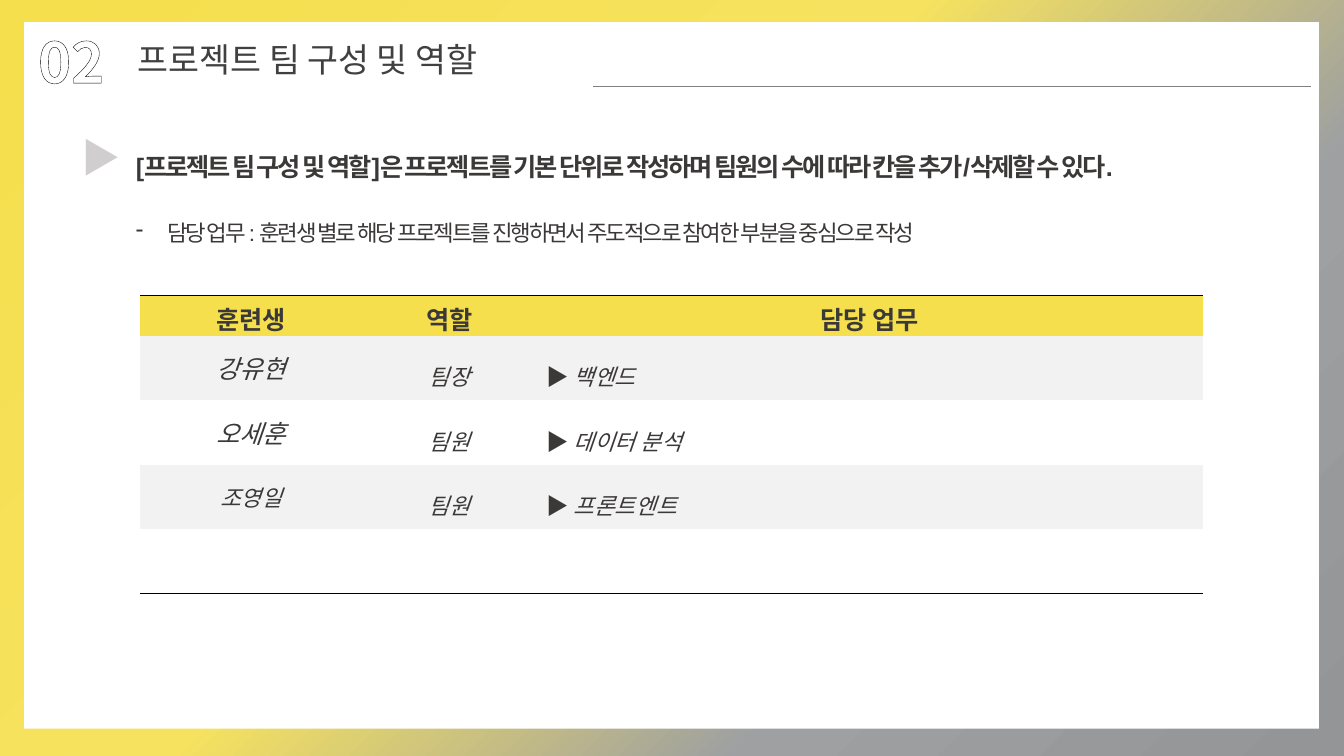
from lxml.etree import SubElement
from pptx import Presentation
from pptx.dml.color import RGBColor
from pptx.enum.dml import MSO_PATTERN
from pptx.enum.shapes import MSO_CONNECTOR, MSO_SHAPE
from pptx.enum.text import MSO_ANCHOR, MSO_AUTO_SIZE, PP_ALIGN
from pptx.oxml import parse_xml
from pptx.oxml.ns import nsdecls, qn
from pptx.util import Inches, Pt

NOTO, ARIAL, CALIBRI = "Noto Sans CJK KR", "Arial", "Calibri"
DARK, GRAY, YELLOW, BAND, WHITE = "3B3838", "939597", "F5DF4D", "F2F2F2", "FFFFFF"

# position %, colour, opacity %
BACKGROUND = [(0, YELLOW, 100), (44, "F6E25F", 70), (71, "9EA0A1", 70), (100, GRAY, 100)]
NUMBER = "02"
TITLE = "프로젝트 팀 구성 및 역할"
HEADLINE = "[프로젝트 팀 구성 및 역할]은 프로젝트를 기본 단위로 작성하며 팀원의 수에 따라 칸을 추가/삭제할 수 있다."
NOTE = "담당 업무 : 훈련생 별로 해당 프로젝트를 진행하면서 주도적으로 참여한 부분을 중심으로 작성"
HEADER = ["훈련생", "역할", "담당 업무"]
# name, name size, role, role font, duty
MEMBERS = [
    ("강유현", 18, "팀장", CALIBRI, "백엔드"),
    ("오세훈", 18, "팀원", CALIBRI, "데이터 분석"),
    ("조영일", 16, "팀원", NOTO, "프론트엔트"),
]
COLUMNS = [2.2, 1.73, 6.61]
ROWS = [0.39] + [0.64] * (len(MEMBERS) + 1)


def rgb(value):
    return RGBColor.from_string(value)


def add_run(p, text, size=18, font=CALIBRI, color=DARK, bold=False, italic=False,
            spacing=None, pattern=None, outline=None):
    r = p.add_run()
    r.text = text
    f = r.font
    f.size, f.name, f.bold, f.italic = Pt(size), font, bold, italic
    if pattern:
        f.fill.patterned()
        f.fill.pattern = MSO_PATTERN.DARK_UPWARD_DIAGONAL
        f.fill.fore_color.rgb, f.fill.back_color.rgb = map(rgb, pattern)
    else:
        f.color.rgb = rgb(color)
    rPr = r._r.get_or_add_rPr()
    SubElement(rPr, qn("a:ea")).set("typeface", NOTO)
    if spacing:
        rPr.set("spc", str(int(spacing * 100)))
    if outline:
        rPr.insert(0, line_xml("ln", *outline))
    return r


def line_xml(tag, color=None, width=0):
    fill = f'<a:solidFill><a:srgbClr val="{color}"/></a:solidFill>' if color else "<a:noFill/>"
    return parse_xml(f'<a:{tag} {nsdecls("a")} w="{int(Pt(width))}">{fill}</a:{tag}>')


def add_text(s, box, text, wrap=True, line_spacing=None, **style):
    tf = s.shapes.add_textbox(*map(Inches, box)).text_frame
    tf.word_wrap = wrap
    tf.auto_size = MSO_AUTO_SIZE.SHAPE_TO_FIT_TEXT
    p = tf.paragraphs[0]
    p.line_spacing = line_spacing
    add_run(p, text, **style)
    return p


def set_dash_bullet(p, indent):
    pPr = p._p.get_or_add_pPr()
    pPr.set("marL", str(Inches(indent)))
    pPr.set("indent", str(Inches(-indent)))
    SubElement(pPr, qn("a:buChar")).set("char", "-")


def set_background(s):
    s.background.fill.gradient()
    grad = s.background._cSld.find(".//" + qn("a:gradFill"))
    stops = "".join(
        f'<a:gs pos="{pos * 1000}"><a:srgbClr val="{color}">'
        f'<a:alpha val="{alpha * 1000}"/></a:srgbClr></a:gs>'
        for pos, color, alpha in BACKGROUND)
    grad.getparent().replace(grad, parse_xml(
        f'<a:gradFill {nsdecls("a")} rotWithShape="1"><a:gsLst>{stops}</a:gsLst>'
        '<a:lin ang="2700000" scaled="0"/></a:gradFill>'))


def style_cell(cell, fill, top=False, bottom=False):
    cell.vertical_anchor = MSO_ANCHOR.MIDDLE
    tcPr = cell._tc.get_or_add_tcPr()
    for tag, shown in (("lnL", False), ("lnR", False), ("lnT", top), ("lnB", bottom)):
        tcPr.append(line_xml(tag, "000000", 0.75) if shown else line_xml(tag))
    cell.fill.solid()
    cell.fill.fore_color.rgb = rgb(fill)


def add_team_table(s, left, top):
    table = s.shapes.add_table(len(ROWS), len(COLUMNS), Inches(left), Inches(top),
                               Inches(sum(COLUMNS)), Inches(sum(ROWS))).table
    table.first_row = table.horz_banding = False
    for column, width in zip(table.columns, COLUMNS):
        column.width = Inches(width)
    last = len(ROWS) - 1
    for i, height in enumerate(ROWS):
        table.rows[i].height = Inches(height)
        fill = YELLOW if i == 0 else BAND if i % 2 else WHITE
        for cell in table.rows[i].cells:
            style_cell(cell, fill, top=i == 0, bottom=i == last)

    for j, text in enumerate(HEADER):
        p = table.cell(0, j).text_frame.paragraphs[0]
        p.alignment = PP_ALIGN.CENTER
        add_run(p, text, bold=True)
    for i, (name, name_size, role, role_font, duty) in enumerate(MEMBERS, 1):
        who, part, work = (table.cell(i, j).text_frame.paragraphs[0] for j in range(3))
        who.alignment = part.alignment = PP_ALIGN.CENTER
        part.line_spacing = work.line_spacing = 1.5
        add_run(who, name, size=name_size, italic=True)
        add_run(part, role, size=16, font=role_font, italic=True)
        add_run(work, "▶ ", size=16, font=NOTO, bold=True, outline=(GRAY, 1))
        add_run(work, duty, size=16, italic=True)


def main():
    prs = Presentation()
    prs.slide_width, prs.slide_height = Inches(13.33), Inches(7.5)
    s = prs.slides.add_slide(prs.slide_layouts[6])
    set_background(s)

    panel = s.shapes.add_shape(MSO_SHAPE.RECTANGLE, *map(Inches, (0.24, 0.22, 12.84, 7.01)))
    panel.shadow.inherit = False
    panel.fill.solid()
    panel.fill.fore_color.rgb = rgb(WHITE)
    panel.line.fill.background()

    add_text(s, (0.28, 0.22, 1.27, 0.77), NUMBER, size=40, font=NOTO, bold=True,
             pattern=(DARK, WHITE), outline=("000000", 1.25))
    rule = s.shapes.add_connector(MSO_CONNECTOR.STRAIGHT, *map(Inches, (5.88, 0.86, 13, 0.86)))
    rule.line.color.rgb = rgb("808080")
    rule.line.width = Pt(1)
    SubElement(rule._element.spPr, qn("a:effectLst"))
    add_text(s, (1.27, 0.34, 4.24, 0.5), TITLE, wrap=False, size=24, font=NOTO, color="404040")

    add_text(s, (0.71, 1.27, 0.55, 0.57), "▶", size=28, font=NOTO, bold=True,
             pattern=(GRAY, "D0CECE"), outline=(GRAY, 1))
    add_text(s, (1.25, 1.3, 11.16, 0.56), HEADLINE, line_spacing=1.5, size=18,
             font=ARIAL, bold=True, spacing=-1.5)
    note = add_text(s, (1.25, 2.12, 9.84, 0.37), NOTE, size=16, font=ARIAL, spacing=-1.5)
    set_dash_bullet(note, 0.31)

    add_team_table(s, 1.39, 2.93)
    prs.save("out.pptx")


if __name__ == "__main__":
    main()
